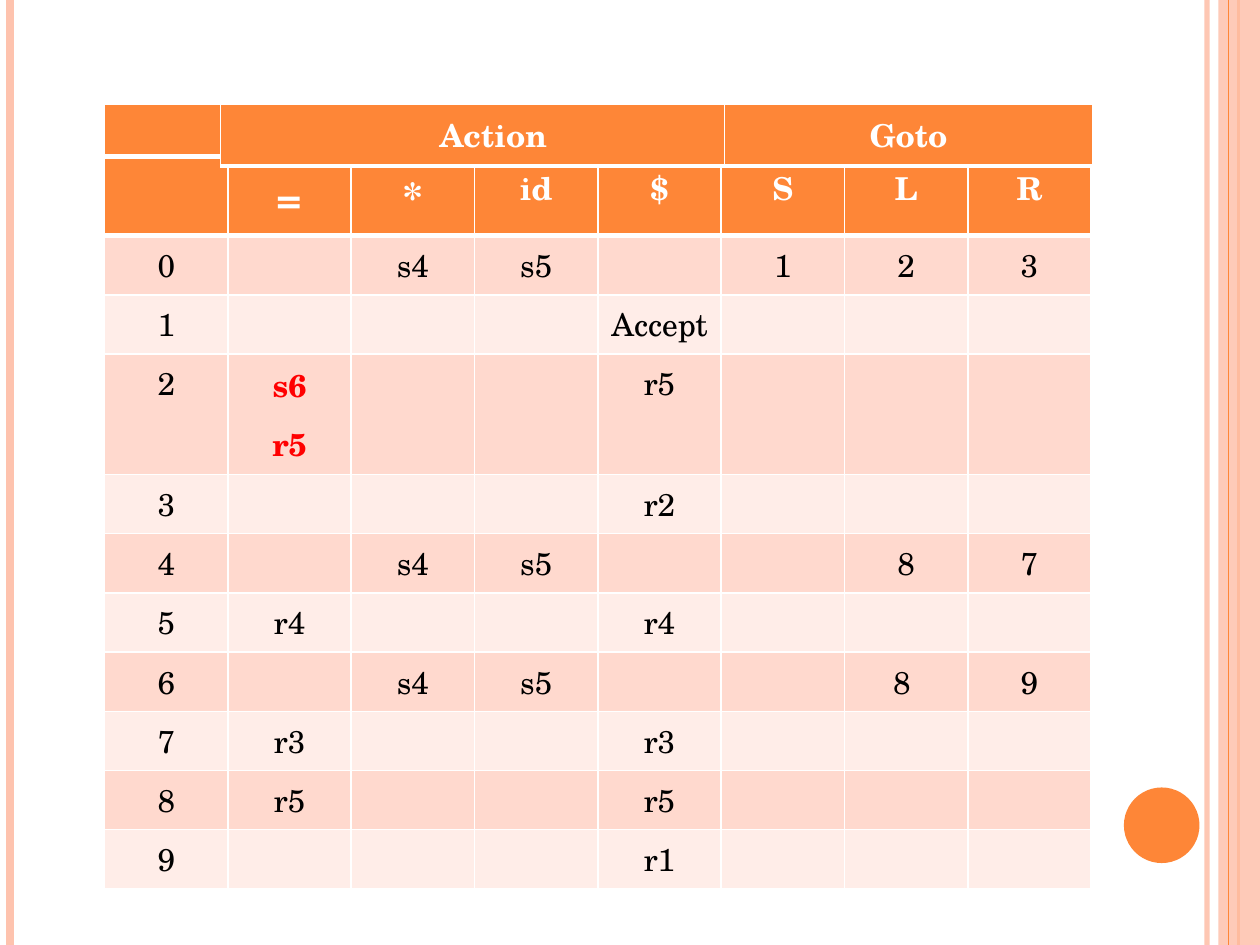
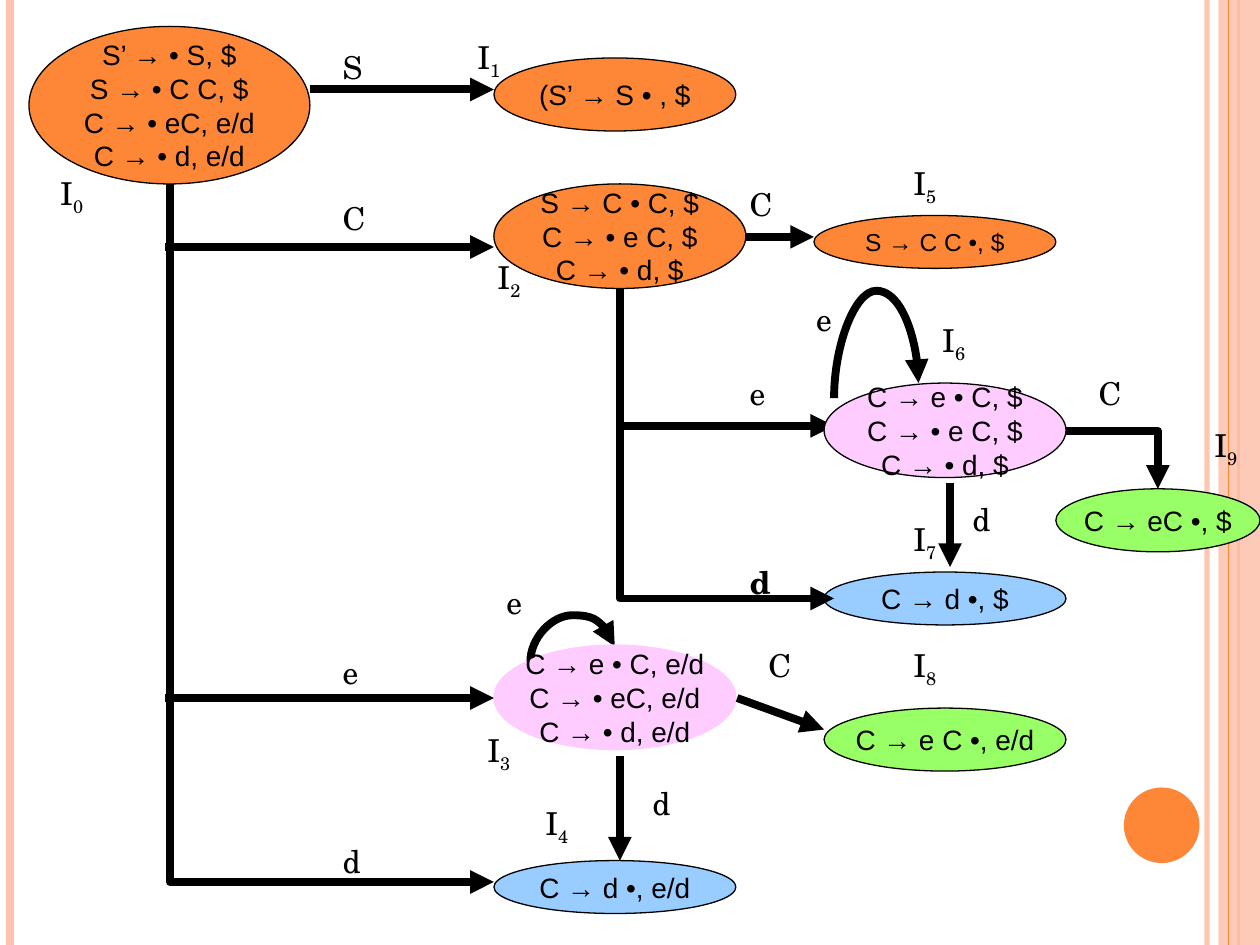
from lxml import etree
from pptx import Presentation
from pptx.dml.color import RGBColor
from pptx.enum.shapes import MSO_CONNECTOR, MSO_SHAPE
from pptx.enum.text import MSO_ANCHOR, MSO_AUTO_SIZE, PP_ALIGN
from pptx.oxml.ns import qn
from pptx.util import Inches, Pt

STRAIGHT, ELBOW, CURVE = MSO_CONNECTOR.STRAIGHT, MSO_CONNECTOR.ELBOW, MSO_CONNECTOR.CURVE
RECT, OVAL = MSO_SHAPE.RECTANGLE, MSO_SHAPE.OVAL
CENTER, MIDDLE = PP_ALIGN.CENTER, MSO_ANCHOR.MIDDLE
FIT_SHAPE = MSO_AUTO_SIZE.SHAPE_TO_FIT_TEXT

COLORS = {
    "orange": "FE8637", "salmon": "FEC3AE", "row_dark": "FFD9CE", "row_light": "FFEDE8",
    "white": "FFFFFF", "black": "000000", "red": "FF0000",
    "blue": "99CCFF", "pink": "FFCCFF", "green": "99FF66",
}
SERIF, SANS = "TeX Gyre Schola", "Arial"
LINE_PITCH = 21.6  # points per line of 18 pt serif text
SLIDE_W, SLIDE_H = 10, 7.5


def rgb(name):
    return RGBColor.from_string(COLORS[name])


def sub(parent, tag, **attributes):
    return etree.SubElement(parent, qn(tag), attributes)


def set_alpha(element, percent):
    for color in element.iter(qn("a:srgbClr")):
        sub(color, "a:alpha", val=str(percent * 1000))


def style_run(run, size=18, font=SERIF, color="black", bold=False):
    for key, value in {"size": Pt(size), "name": font, "bold": bold}.items():
        setattr(run.font, key, value)
    run.font.color.rgb = rgb(color)


def write(frame, lines, align=None, space=None, **style):
    """Put one paragraph per line into the frame."""
    for i, line in enumerate(lines):
        paragraph = frame.paragraphs[0] if i == 0 else frame.add_paragraph()
        paragraph.alignment = align
        if space is not None:
            paragraph.space_before = Pt(space)
        run = paragraph.add_run()
        run.text = line
        style_run(run, **style)


def add_block(slide, kind, box, fill, line=None):
    block = slide.shapes.add_shape(kind, *map(Inches, box))
    block.shadow.inherit = False
    block.fill.solid()
    block.fill.fore_color.rgb = rgb(fill)
    if line:
        block.line.color.rgb = rgb(line)
        block.line.width = Pt(0.75)
    else:
        block.line.fill.background()
    return block


def add_line(slide, begin, end, color="black", width=4.5, kind=STRAIGHT):
    connector = slide.shapes.add_connector(kind, *map(Inches, (*begin, *end)))
    connector.line.color.rgb = rgb(color)
    connector.line.width = Pt(width)
    sub(connector._element.spPr, "a:effectLst")
    return connector


def add_arrow(slide, begin, end, kind=STRAIGHT, preset=None, adjust=None, turned=False):
    """Arrow from begin to end; a turned one leaves vertically (rotated by 270 degrees)."""
    if turned:
        mid_x, mid_y = (begin[0] + end[0]) / 2, (begin[1] + end[1]) / 2
        half_x, half_y = (end[0] - begin[0]) / 2, (end[1] - begin[1]) / 2
        begin = (mid_x + half_y, mid_y - half_x)
        end = (mid_x - half_y, mid_y + half_x)
    arrow = add_line(slide, begin, end, kind=kind)
    properties = arrow._element.spPr
    if turned:
        properties.find(qn("a:xfrm")).set("rot", str(270 * 60000))
    geometry = properties.find(qn("a:prstGeom"))
    if preset:
        geometry.set("prst", preset)
    if adjust is not None:
        guides = geometry.find(qn("a:avLst"))
        if guides is None:
            guides = sub(geometry, "a:avLst")
        sub(guides, "a:gd", name="adj1", fmla=f"val {round(adjust * 100000)}")
    sub(properties.find(qn("a:ln")), "a:tailEnd", type="triangle")


# Shared side bands and disc
def add_frame(slide):
    def rule(x, color, width):
        return add_line(slide, (x, 0), (x, SLIDE_H), color, width)

    set_alpha(rule(9.58, "salmon", 3)._element, 93)
    rule(0.08, "salmon", 4.5)
    rule(9.83, "orange", 1.5)
    band = add_block(slide, RECT, (9.67, 0, 0.33, SLIDE_H), "salmon")
    set_alpha(band._element, 87)
    rule(9.75, "orange", 0.75)
    add_block(slide, OVAL, (8.92, 6.25, 0.6, 0.6), "orange")


# Parsing table
def style_cell(cell, fill, bottom=1):
    cell.fill.solid()
    cell.fill.fore_color.rgb = rgb(fill)
    properties = cell._tc.get_or_add_tcPr()
    sides = {"a:lnL": 1, "a:lnR": 1, "a:lnT": 1, "a:lnB": bottom}
    for i, (side, width) in enumerate(sides.items()):
        border = etree.Element(qn(side), w=str(Pt(width)))
        sub(sub(border, "a:solidFill"), "a:srgbClr", val=COLORS["white"])
        properties.insert(i, border)


def new_table(slide, left, top, widths, heights):
    box = (left, top, sum(widths), sum(heights))
    table = slide.shapes.add_table(len(heights), len(widths), *map(Inches, box)).table
    for column, width in zip(table.columns, widths):
        column.width = Inches(width)
    for row, height in zip(table.rows, heights):
        row.height = Inches(height)
    return table


SYMBOLS = ["", "=", "*", "id", "$", "S", "L", "R"]
STATES = [  # state, then = * id $ S L R
    ["0", "", "s4", "s5", "", "1", "2", "3"],
    ["1", "", "", "", "Accept", "", "", ""],
    ["2", "s6\nr5", "", "", "r5", "", "", ""],
    ["3", "", "", "", "r2", "", "", ""],
    ["4", "", "s4", "s5", "", "", "8", "7"],
    ["5", "r4", "", "", "r4", "", "", ""],
    ["6", "", "s4", "s5", "", "", "8 ", "9"],
    ["7", "r3", "", "", "r3", "", "", ""],
    ["8", "r5", "", "", "r5", "", "", ""],
    ["9", "", "", "", "r1", "", "", ""],
]
CONFLICT_ROW = 2


def add_parsing_table(slide, left, top, width):
    heights = [0.62] + [0.87 if i == CONFLICT_ROW else 0.47 for i in range(len(STATES))]
    columns = len(SYMBOLS)
    table = new_table(slide, left, top + 0.42, [width / columns] * columns, heights)

    for c, symbol in enumerate(SYMBOLS):
        cell = table.cell(0, c)
        style_cell(cell, "orange", bottom=3)
        if symbol:
            size = 24 if symbol in "=*" else 18
            write(cell.text_frame, [symbol], CENTER, size / 3, size=size, color="white", bold=True)

    for r, actions in enumerate(STATES):
        for c, action in enumerate(actions):
            cell = table.cell(r + 1, c)
            style_cell(cell, "row_light" if r % 2 else "row_dark")
            if "\n" in action:  # shift/reduce conflict
                write(cell.text_frame, action.split("\n"), CENTER, 6, color="red", bold=True)
            elif action:
                on_second_line = r == CONFLICT_ROW and c > 0
                space = LINE_PITCH + 10.6 if on_second_line else 4.8
                write(cell.text_frame, [action], CENTER, space)

    # Group headings above the columns
    for title, offset, span in [("", 0, 0.92), ("Action", 0.92, 4.33), ("Goto", 4.92, 2.92)]:
        cell = new_table(slide, left + offset, top, [span], [0.41]).cell(0, 0)
        style_cell(cell, "orange", bottom=3)
        write(cell.text_frame, [title], CENTER, 6, color="white", bold=True)


# State diagram
ITEM_SETS = [  # box, fill, items
    ((3.92, 6.83, 1.92, 0.42), "blue", ["C → d •, e/d"]),
    ((3.92, 0.46, 1.92, 0.58), "orange", ["(S’ → S • , $"]),
    ((3.92, 1.46, 2, 0.83), "orange", ["S → C • C, $", "C → • e C, $", "C → • d, $"]),
    ((3.92, 5.12, 1.92, 0.83), "pink", ["C → e • C, e/d", "C → • eC, e/d", "C → • d, e/d"]),
    ((6.46, 1.71, 1.92, 0.42), "orange", ["S → C C •, $"]),
    ((6.54, 3.04, 1.92, 0.75), "pink", ["C → e • C, $", "C → • e C, $", "C → • d, $"]),
    ((6.54, 4.54, 1.92, 0.42), "blue", ["C → d •, $"]),
    ((6.54, 5.62, 1.92, 0.5), "green", ["C → e C •, e/d"]),
    ((0.23, 0.21, 2.23, 1.25), "orange",
     ["S’ → • S, $", "S → • C C, $", "C → • eC, e/d", "C → • d, e/d"]),
    ((8.38, 3.88, 1.62, 0.5), "green", ["C → eC •, $"]),
]
CORNER = {"kind": ELBOW, "preset": "bentConnector2"}
LOOP = {"kind": CURVE, "turned": True}
ARROWS_BEHIND = [
    ((4.21, 5.25), (4.88, 5.13), {**LOOP, "adjust": 3.06}),
    ((4.92, 6), (4.92, 6.83), {}),
    ((4.92, 3.38), (6.62, 3.38), {}),
    ((6.62, 3.16), (7.29, 3.04), {**LOOP, "adjust": 7.1}),
]
ARROWS_IN_FRONT = [
    ((2.46, 0.71), (3.92, 0.71), {}),
    ((1.35, 1.46), (3.92, 5.54), {**CORNER, "turned": True}),
    ((1.31, 5.54), (3.92, 7), {"kind": ELBOW, "adjust": 0.015}),
    ((1.31, 1.96), (3.92, 1.96), {}),
    ((4.92, 2.29), (6.62, 4.75), {**CORNER, "turned": True}),
    ((5.92, 1.88), (6.46, 1.88), {}),
    ((8.46, 3.42), (9.19, 3.88), CORNER),
    ((5.85, 5.54), (6.54, 5.79), {}),
    ((7.54, 3.83), (7.54, 4.5), {}),
]
EDGE_COLUMNS = [  # place, width, (symbol, free lines above, bold)
    ((2.62, 0.33), 0.92, [("S", 0, False), ("C", 3, False), ("e", 11, False), ("d", 4, False)]),
    ((5.85, 1.42), 0.92, [("C", 0, False), ("e", 4, False), ("d", 4, True)]),
]
EDGE_LABELS = [
    ("C", (8.62, 2.92)), ("e", (3.92, 4.58)), ("e", (6.38, 2.33)),
    ("C", (6, 5.08)), ("d", (5.08, 6.17)), ("d", (7.62, 3.92)),
]
STATE_LABELS = [  # places of I0 to I9
    (0.38, 1.33), (3.69, 0.25), (3.85, 2), (3.77, 5.75), (4.23, 6.33),
    (7.15, 1.25), (7.38, 2.5), (7.15, 4.08), (7.15, 5.08), (9.54, 3.33),
]


def add_label(slide, place, width, height=0.4):
    frame = slide.shapes.add_textbox(*map(Inches, (*place, width, height))).text_frame
    frame.word_wrap = True
    frame.auto_size = FIT_SHAPE
    return frame


def add_item_set(slide, box, fill, items):
    state = add_block(slide, OVAL, box, fill, "pink" if len(items) == 3 and "e/d" in items[0] else "black")
    frame = state.text_frame
    frame.word_wrap = False
    frame.vertical_anchor = MIDDLE
    write(frame, items, CENTER, size=14 if items[0].startswith("S → C C") else 16, font=SANS)


def add_state_diagram(slide, left, top):
    def at(place):
        return (left + place[0], top + place[1])

    for begin, end, route in ARROWS_BEHIND:
        add_arrow(slide, at(begin), at(end), **route)
    for box, fill, items in ITEM_SETS:
        add_item_set(slide, (*at(box[:2]), *box[2:]), fill, items)
    for begin, end, route in ARROWS_IN_FRONT:
        add_arrow(slide, at(begin), at(end), **route)

    # Edge symbols
    for place, width, symbols in EDGE_COLUMNS:
        lines = sum(free + 1 for _, free, _ in symbols)
        frame = add_label(slide, at(place), width, 0.1 + lines * LINE_PITCH / 72)
        write(frame, [symbol for symbol, _, _ in symbols])
        for paragraph, (_, free, bold) in zip(frame.paragraphs, symbols):
            paragraph.space_before = Pt(free * LINE_PITCH)
            paragraph.runs[0].font.bold = bold
    for symbol, place in EDGE_LABELS:
        write(add_label(slide, at(place), 0.69 if symbol == "C" else 0.5), [symbol])

    # State names with subscripts
    for number, place in enumerate(STATE_LABELS):
        frame = add_label(slide, at(place), 0.46)
        write(frame, ["I"])
        index = frame.paragraphs[0].add_run()
        index.text = str(number)
        style_run(index)
        index.font._element.set("baseline", "-25000")


deck = Presentation()
deck.slide_width, deck.slide_height = Inches(SLIDE_W), Inches(SLIDE_H)
blank = deck.slide_layouts[6]

table_slide = deck.slides.add_slide(blank)
add_frame(table_slide)
add_parsing_table(table_slide, 0.83, 0.83, 7.83)

diagram_slide = deck.slides.add_slide(blank)
add_frame(diagram_slide)
add_state_diagram(diagram_slide, 0, 0)

deck.save("out.pptx")
